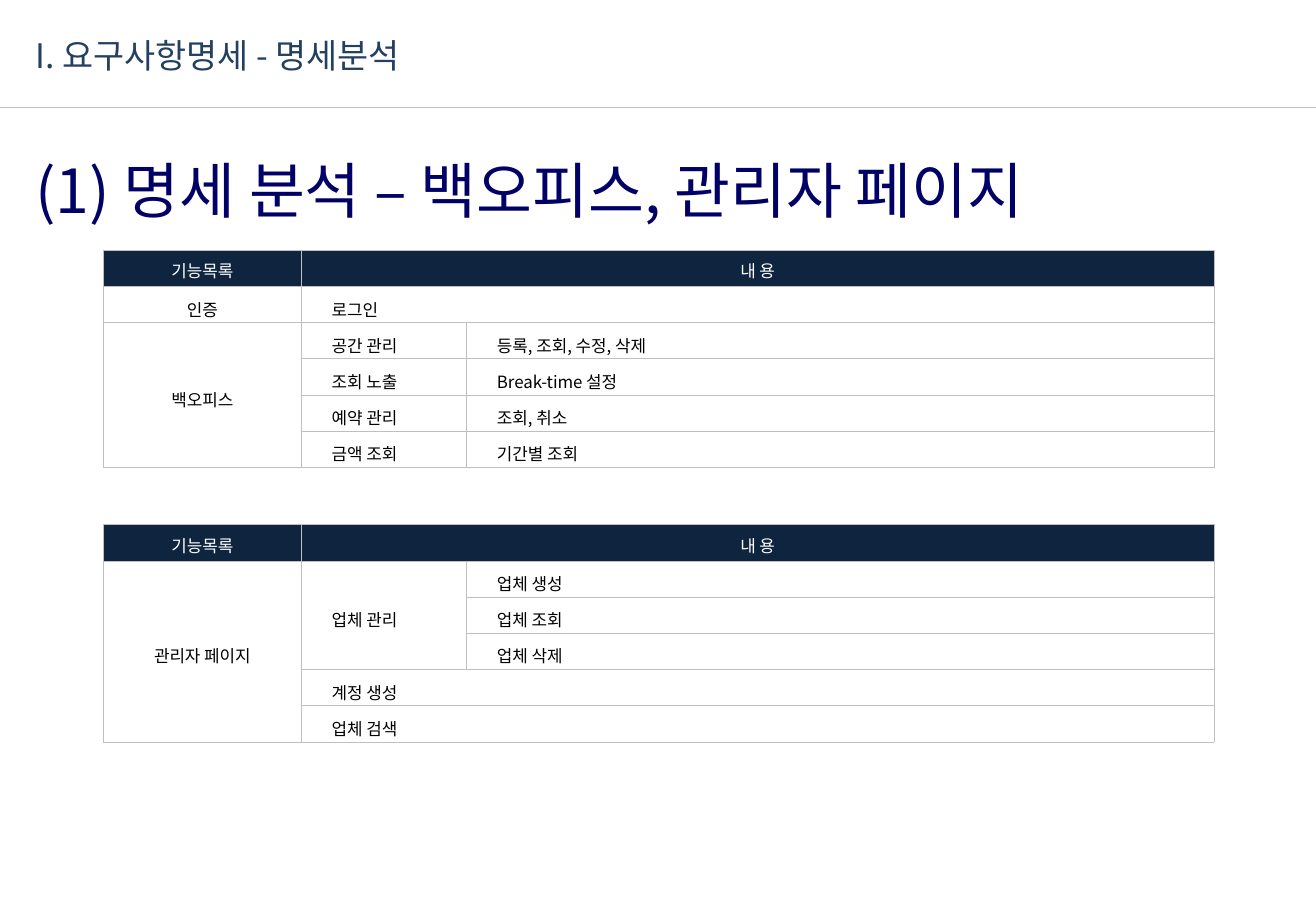
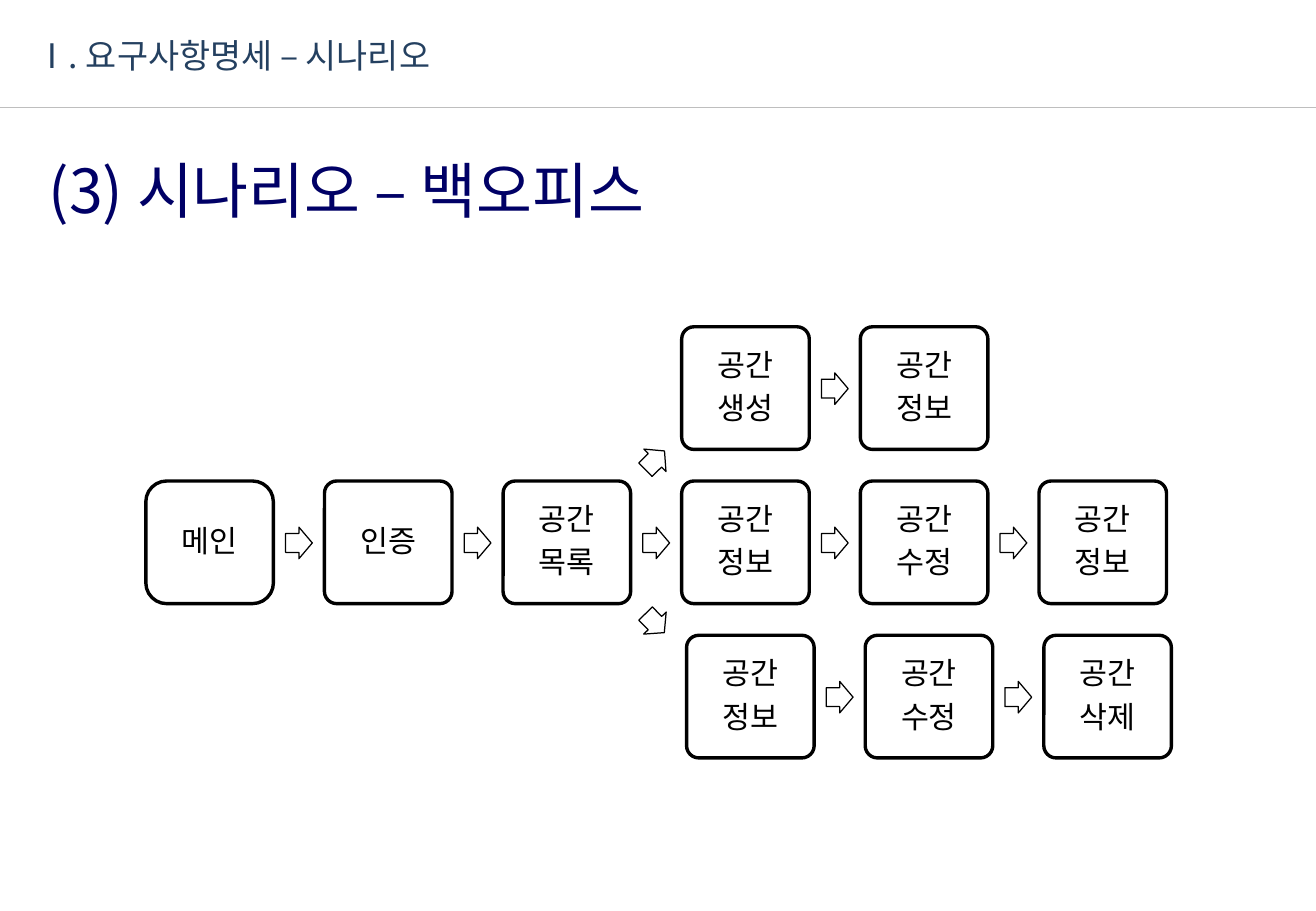
"""Builds two requirement slides: function tables and a back-office scenario flow."""
from dataclasses import dataclass
from typing import NamedTuple

from lxml.etree import SubElement
from pptx import Presentation
from pptx.dml.color import RGBColor
from pptx.enum.shapes import MSO_CONNECTOR, MSO_SHAPE
from pptx.enum.text import MSO_ANCHOR as Anchor, PP_ALIGN as Align
from pptx.oxml.ns import qn
from pptx.util import Inches, Pt


@dataclass(frozen=True)
class Theme:
    font: str = "Noto Sans CJK KR"
    header: RGBColor = RGBColor.from_string("244060")
    title: RGBColor = RGBColor.from_string("000066")
    rule: RGBColor = RGBColor.from_string("BEBEBE")
    table_head: RGBColor = RGBColor.from_string("0F243E")
    border: str = "BFBFBF"
    black: RGBColor = RGBColor.from_string("000000")
    white: RGBColor = RGBColor.from_string("FFFFFF")
    header_size: float = 20
    title_size: float = 36
    table_size: float = 10
    step_size: float = 18


class Entry(NamedTuple):
    row: int
    column: int
    text: str
    row_span: int = 1
    column_span: int = 1


class Lane(NamedTuple):
    row: int
    first_column: int
    nudge: float
    steps: tuple[str, ...]


class Turn(NamedTuple):
    top: float
    angle: float


THEME = Theme()
SLIDE_WIDTH, SLIDE_HEIGHT = 10.83, 7.5
TABLE_LEFT, TABLE_HEIGHT, ROW_COUNT = 0.85, 1.79, 6
COLUMN_WIDTHS = (1.63, 1.36, 6.15)
HEADINGS = (Entry(0, 0, "기능목록"), Entry(0, 1, "내 용", 1, 2))
BACK_OFFICE = (
    Entry(1, 0, "인증"),
    Entry(1, 1, "로그인", 1, 2),
    Entry(2, 0, "백오피스", 4),
    Entry(2, 1, "공간 관리"),
    Entry(2, 2, "등록, 조회, 수정, 삭제"),
    Entry(3, 1, "조회 노출"),
    Entry(3, 2, "Break-time 설정"),
    Entry(4, 1, "예약 관리"),
    Entry(4, 2, "조회, 취소"),
    Entry(5, 1, "금액 조회"),
    Entry(5, 2, "기간별 조회"),
)
ADMIN_PAGE = (
    Entry(1, 0, "관리자 페이지", 5),
    Entry(1, 1, "업체 관리", 3),
    Entry(1, 2, "업체 생성"),
    Entry(2, 2, "업체 조회"),
    Entry(3, 2, "업체 삭제"),
    Entry(4, 1, "계정 생성", 1, 2),
    Entry(5, 1, "업체 검색", 1, 2),
)

STEP_WIDTH, STEP_HEIGHT = 1.05, 1.01
FLOW_LEFT, FLOW_TOP = 1.2, 2.69
COLUMN_PITCH, ROW_PITCH = 1.47, 1.27
ARROW_WIDTH, ARROW_HEIGHT = 0.22, 0.26
LANES = (
    Lane(0, 3, 0, ("공간\n생성", "공간\n정보")),
    Lane(1, 0, 0, ("메인", "인증", "공간\n목록", "공간\n정보", "공간\n수정", "공간\n정보")),
    Lane(2, 3, 0.04, ("공간\n정보", "공간\n수정", "공간\n삭제")),
)
TURN_LEFT = 5.28
TURNS = (Turn(3.66, 315.5), Turn(5, 45.5))


def write_text(holder, text: str, *, size: float, color: RGBColor,
               margins: tuple[float, float, float, float], align=Align.LEFT,
               anchor=Anchor.TOP, line_spacing: float | None = None,
               space_after: int | None = None) -> None:
    """Write formatted paragraphs into a table cell or a text frame."""
    sides = ("left", "top", "right", "bottom")
    for side, margin in zip(sides, margins):
        setattr(holder, f"margin_{side}", Inches(margin))
    holder.vertical_anchor = anchor
    frame = getattr(holder, "text_frame", holder)
    frame.word_wrap = True
    frame.text = text
    for paragraph in frame.paragraphs:
        paragraph.alignment = align
        if line_spacing:
            paragraph.line_spacing = line_spacing
        if space_after:
            properties = paragraph._p.get_or_add_pPr()
            spacing = SubElement(properties, qn("a:spcAft"))
            SubElement(spacing, qn("a:spcPct"), val=str(space_after * 1000))
        for run in paragraph.runs:
            run.font.size = Pt(size)
            run.font.color.rgb = color
            run.font.name = THEME.font
            SubElement(run.font._element, qn("a:ea"), typeface=THEME.font)


def add_text_box(slide, text: str, top: float, width: float, height: float,
                 size: float, color: RGBColor, indent: float = 0.01) -> None:
    """Add a left-aligned heading."""
    box = slide.shapes.add_textbox(Inches(0.28), Inches(top), Inches(width), Inches(height))
    write_text(box.text_frame, text, size=size, color=color, margins=(indent, 0.01, 0, 0))


def add_page(presentation, header: str, title: str, title_indent: float = 0.01):
    """Add a blank slide with its rule, header and title."""
    slide = presentation.slides.add_slide(presentation.slide_layouts[6])
    rule = slide.shapes.add_connector(
        MSO_CONNECTOR.STRAIGHT, 0, Inches(0.88), Inches(SLIDE_WIDTH), Inches(0.88))
    rule.line.color.rgb = THEME.rule
    rule.line.width = Pt(0.25)
    SubElement(rule._element.spPr, qn("a:effectLst"))
    add_text_box(slide, header, 0.28, 5.47, 0.35, THEME.header_size, THEME.header)
    add_text_box(slide, title, 1.25, 8.89, 0.62, THEME.title_size, THEME.title, title_indent)
    return slide


def style_cell(cell, fill: RGBColor) -> None:
    """Draw the four borders of a cell and fill it."""
    properties = cell._tc.get_or_add_tcPr()
    for edge in ("lnL", "lnR", "lnT", "lnB"):
        line = SubElement(properties, qn(f"a:{edge}"), w=str(Pt(0.5)))
        SubElement(SubElement(line, qn("a:solidFill")), qn("a:srgbClr"), val=THEME.border)
    cell.fill.solid()
    cell.fill.fore_color.rgb = fill


def add_function_table(slide, top: float, entries: tuple[Entry, ...]) -> None:
    """Add a table of functions under the shared headings."""
    table = slide.shapes.add_table(
        ROW_COUNT, len(COLUMN_WIDTHS), Inches(TABLE_LEFT), Inches(top),
        Inches(sum(COLUMN_WIDTHS)), Inches(TABLE_HEIGHT)).table
    table.first_row = table.horz_banding = False
    for column, width in zip(table.columns, COLUMN_WIDTHS):
        column.width = Inches(width)
    for index, row in enumerate(table.rows):
        row.height = Inches(TABLE_HEIGHT / ROW_COUNT)
        for cell in row.cells:
            style_cell(cell, THEME.white if index else THEME.table_head)
    for entry in HEADINGS + entries:
        cell = table.cell(entry.row, entry.column)
        if entry.row_span * entry.column_span > 1:
            cell.merge(table.cell(entry.row + entry.row_span - 1,
                                  entry.column + entry.column_span - 1))
        heading = entry.row == 0
        centered = heading or entry.column == 0
        write_text(cell, entry.text, size=THEME.table_size,
                   color=THEME.white if heading else THEME.black,
                   margins=(0 if centered else 0.25, 0.04 if heading else 0.07, 0, 0),
                   align=Align.CENTER if centered else Align.LEFT, anchor=Anchor.MIDDLE)


def add_outlined(slide, kind, left: float, top: float, width: float, height: float,
                 line_width: float, adjustments: tuple[float, ...]):
    """Add a white preset shape with a black outline."""
    shape = slide.shapes.add_shape(kind, Inches(left), Inches(top), Inches(width), Inches(height))
    shape.shadow.inherit = False
    shape.fill.solid()
    shape.fill.fore_color.rgb = THEME.white
    shape.line.color.rgb = THEME.black
    shape.line.width = Pt(line_width)
    for index, value in enumerate(adjustments):
        shape.adjustments[index] = value
    return shape


def add_arrow(slide, left: float, top: float, angle: float = 0) -> None:
    """Add a small block arrow."""
    arrow = add_outlined(slide, MSO_SHAPE.RIGHT_ARROW, left, top,
                         ARROW_WIDTH, ARROW_HEIGHT, 0.75, (0.6, 0.5))
    arrow.rotation = angle


def add_step(slide, text: str, left: float, top: float, corner: float) -> None:
    """Add one labelled step of the flow."""
    step = add_outlined(slide, MSO_SHAPE.ROUNDED_RECTANGLE, left, top,
                        STEP_WIDTH, STEP_HEIGHT, 2, (corner,))
    write_text(step.text_frame, text, size=THEME.step_size, color=THEME.black,
               margins=(0.1, 0.1, 0.1, 0.1), align=Align.CENTER, anchor=Anchor.MIDDLE,
               line_spacing=0.9, space_after=35)


def add_lane(slide, lane: Lane) -> None:
    """Add a row of steps joined by arrows."""
    top = FLOW_TOP + lane.row * ROW_PITCH
    for column, text in enumerate(lane.steps, lane.first_column):
        left = FLOW_LEFT + column * COLUMN_PITCH + lane.nudge
        add_step(slide, text, left, top, 0.1 if column else 0.17)
        if column > lane.first_column:
            add_arrow(slide, left - 0.32, top + 0.38)


def main() -> None:
    """Build and save the presentation."""
    presentation = Presentation()
    presentation.slide_width = Inches(SLIDE_WIDTH)
    presentation.slide_height = Inches(SLIDE_HEIGHT)

    analysis = add_page(presentation, "I. 요구사항명세 - 명세분석",
                        "(1) 명세 분석 – 백오피스, 관리자 페이지")
    add_function_table(analysis, 2.06, BACK_OFFICE)
    add_function_table(analysis, 4.32, ADMIN_PAGE)

    scenario = add_page(presentation, "Ⅰ. 요구사항명세 – 시나리오",
                        "(3) 시나리오 – 백오피스", title_indent=0.12)
    for lane in LANES:
        add_lane(scenario, lane)
    for turn in TURNS:
        add_arrow(scenario, TURN_LEFT, turn.top, turn.angle)

    presentation.save("out.pptx")


if __name__ == "__main__":
    main()
